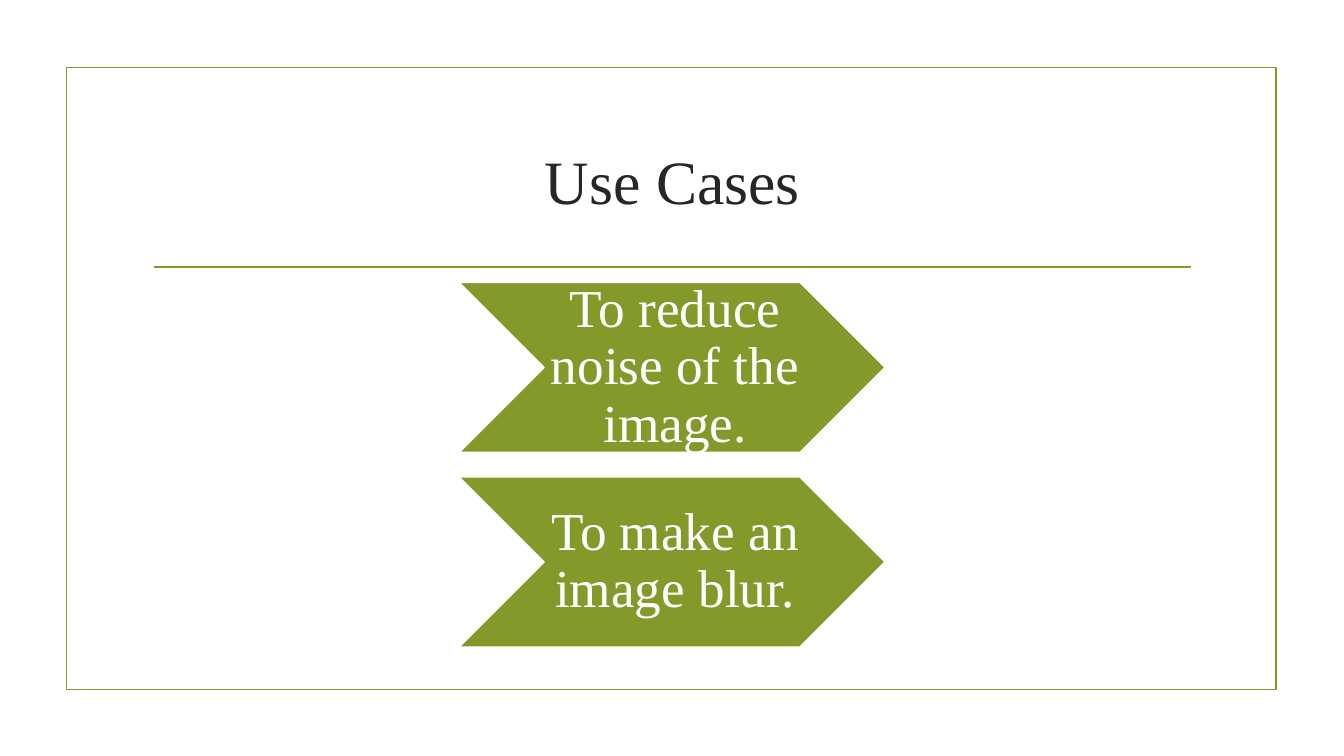
from lxml import etree
from pptx import Presentation
from pptx.dml.color import RGBColor
from pptx.enum.shapes import MSO_CONNECTOR, MSO_SHAPE
from pptx.enum.text import MSO_ANCHOR, PP_ALIGN
from pptx.oxml.ns import qn
from pptx.util import Inches, Pt

RECT = MSO_SHAPE.RECTANGLE
CHEVRON = MSO_SHAPE.CHEVRON
STRAIGHT = MSO_CONNECTOR.STRAIGHT
MIDDLE = MSO_ANCHOR.MIDDLE
CENTER = PP_ALIGN.CENTER

COLORS = {"green": "83992A", "dark": "262626", "white": "FFFFFF"}


class Deck:
    """Hold the style and the current slide."""

    def __init__(self, slide, font="Times New Roman", width=1.25):
        self.slide = slide
        self.font = font
        self.width = width

    def color(self, name):
        return RGBColor.from_string(COLORS[name])

    def stroke(self, line, name):
        line.color.rgb = self.color(name)
        line.width = Pt(self.width)

    def shape(self, kind, box, line, fill=None):
        shape = self.slide.shapes.add_shape(kind, *map(Inches, box))
        shape.shadow.inherit = False
        if fill:
            shape.fill.solid()
            shape.fill.fore_color.rgb = self.color(fill)
        else:
            shape.fill.background()
        self.stroke(shape.line, line)

    def rule(self, start, end, line):
        rule = self.slide.shapes.add_connector(
            STRAIGHT, *map(Inches, (*start, *end)))
        self.stroke(rule.line, line)
        etree.SubElement(rule._element.spPr, qn("a:effectLst"))

    def text(self, text, box, size, color, insets=(0.1, 0.05, 0.1, 0.05),
             spacing=None):
        frame = self.slide.shapes.add_textbox(*map(Inches, box)).text_frame
        frame.word_wrap = True
        frame.vertical_anchor = MIDDLE
        (frame.margin_left, frame.margin_top,
         frame.margin_right, frame.margin_bottom) = map(Inches, insets)
        para = frame.paragraphs[0]
        para.alignment = CENTER
        para.line_spacing = spacing
        run = para.add_run()
        run.text = text
        run.font.name = self.font
        run.font.size = Pt(size)
        run.font.color.rgb = self.color(color)


def main():
    prs = Presentation()
    prs.slide_width, prs.slide_height = Inches(13.33), Inches(7.5)
    deck = Deck(prs.slides.add_slide(prs.slide_layouts[6]))

    deck.shape(RECT, (0.66, 0.67, 12, 6.17), "green")
    deck.rule((1.53, 2.65), (11.81, 2.65), "green")
    deck.text("Use Cases", (1.42, 1.07, 10.5, 1.43), 44, "dark")

    top, height, pitch = 2.8, 1.69, 1.93
    cases = ("To reduce noise of the image.", "To make an image blur.")
    for index, case in enumerate(cases):
        y = top + index * pitch
        deck.shape(CHEVRON, (4.55, y, 4.23, height), "white", "green")
        deck.text(case, (5.4, y, 2.54, height), 38, "white",
                  insets=(0.05, 0.03, 0, 0.03), spacing=0.9)

    prs.save("out.pptx")


if __name__ == "__main__":
    main()
